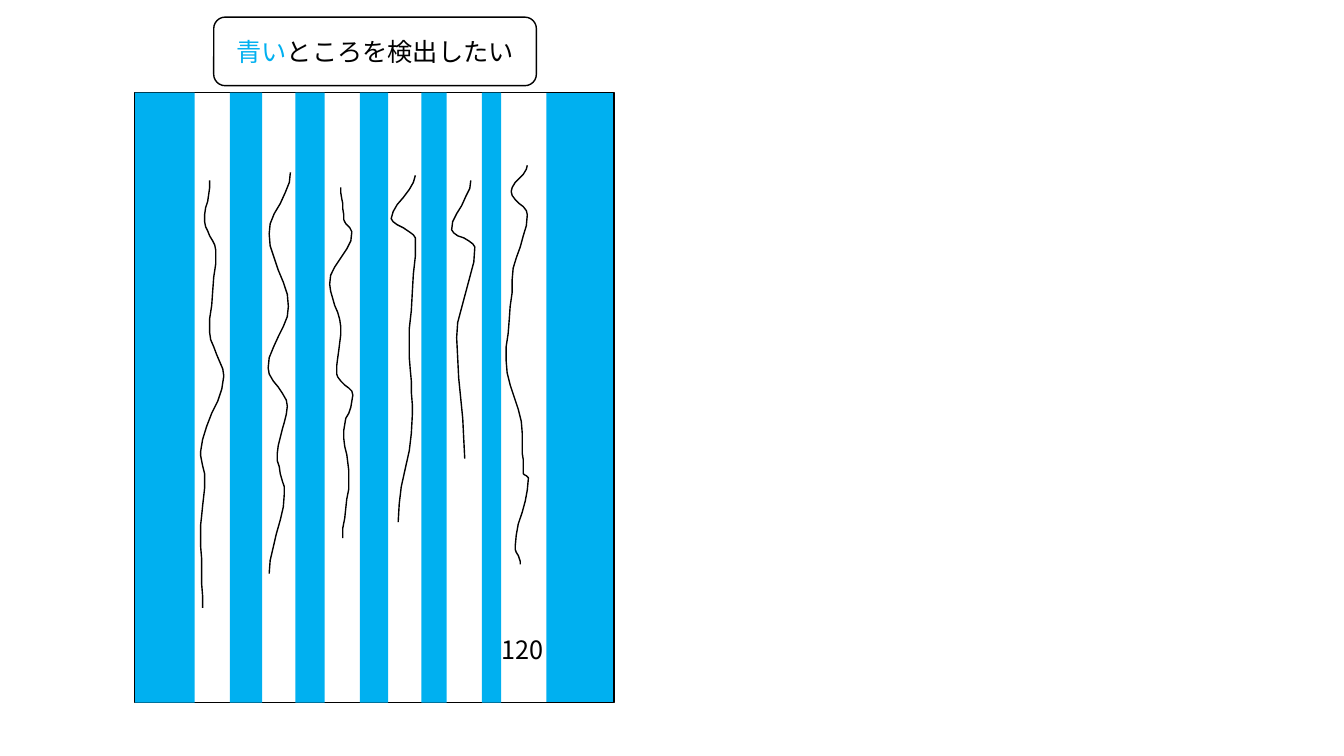
import math
import pptx
import pptx.util
import pptx.dml.color
import pptx.enum.shapes
import pptx.enum.text
import pptx.oxml.ns
import lxml.etree

COLS, ROWS = 1333, 750
CELL = pptx.util.Inches(0.01)
FONT = "Noto Sans CJK JP"
BLUE, BLACK, WHITE = "00B0F0", "000000", "FFFFFF"
TOP, HEIGHT = 92, 605
SHEET_LEFT, SHEET_WIDTH = 134, 475
RIGHT_STRIPE = (542, 66)
STRIPES = [(478, 19), (418, 25), (357, 28), (293, 29), (228, 32), (134, 59)]
STEPS = 6

CRACK_TURNS = [
    [(523, 164), (507, 190), (523, 213), (508, 277), (502, 358), (518, 430),
     (519, 469), (524, 475), (511, 542), (516, 560)],
    [(467, 179), (448, 228), (471, 245), (453, 335), (461, 455)],
    [(412, 174), (388, 217), (412, 236), (406, 344), (409, 412), (395, 518)],
    [(338, 186), (341, 218), (349, 230), (327, 282), (338, 324), (334, 371),
     (350, 392), (341, 427), (346, 475), (340, 534)],
    [(288, 171), (267, 232), (286, 304), (266, 365), (285, 403), (275, 450),
     (282, 490), (267, 569)],
    [(208, 179), (203, 220), (214, 248), (208, 330), (222, 373), (199, 448),
     (203, 475), (199, 530), (201, 603)],
]


def color(hex_string):
    return pptx.dml.color.RGBColor.from_string(hex_string)


def style(sp, fill=None, line=None):
    sp.shadow.inherit = False
    if fill:
        sp.fill.solid()
        sp.fill.fore_color.rgb = color(fill)
    else:
        sp.fill.background()
    if line:
        sp.line.color.rgb = color(line)
        sp.line.width = pptx.util.Pt(1)
    else:
        sp.line.fill.background()


def add_box(s, kind, cells, fill=None, line=None):
    sp = s.shapes.add_shape(kind, *(n * CELL for n in cells))
    style(sp, fill, line)
    return sp


def add_stripe(s, left, width, fill=BLUE, line=None):
    add_box(s, pptx.enum.shapes.MSO_SHAPE.RECTANGLE,
            (left, TOP, width, HEIGHT), fill, line)


def wave(turns):
    for (x, y), (next_x, next_y) in zip(turns, turns[1:]):
        for step in range(1, STEPS + 1):
            t = step / STEPS
            ease = (1 - math.cos(math.pi * t)) / 2
            yield x + (next_x - x) * ease, y + (next_y - y) * t


def add_crack(s, turns):
    builder = s.shapes.build_freeform(*turns[0], scale=CELL)
    builder.add_line_segments(list(wave(turns)), close=False)
    style(builder.convert_to_shape(), line=BLACK)


def add_run(p, text, hex_string):
    r = p.add_run()
    r.text = text
    r.font.size = pptx.util.Pt(18)
    r.font.color.rgb = color(hex_string)
    r.font.name = FONT
    ea = lxml.etree.SubElement(r.font._element, pptx.oxml.ns.qn("a:ea"))
    ea.set("typeface", FONT)


def add_number(s, text, cells):
    sp = s.shapes.add_textbox(*(n * CELL for n in cells))
    tf = sp.text_frame
    tf.word_wrap = False
    tf.auto_size = pptx.enum.text.MSO_AUTO_SIZE.SHAPE_TO_FIT_TEXT
    add_run(tf.paragraphs[0], text, BLACK)


def add_caption(s, cells, runs):
    sp = add_box(s, pptx.enum.shapes.MSO_SHAPE.ROUNDED_RECTANGLE,
                 cells, WHITE, BLACK)
    tf = sp.text_frame
    tf.word_wrap = True
    tf.vertical_anchor = pptx.enum.text.MSO_ANCHOR.MIDDLE
    p = tf.paragraphs[0]
    p.alignment = pptx.enum.text.PP_ALIGN.CENTER
    for text, hex_string in runs:
        add_run(p, text, hex_string)


def main():
    prs = pptx.Presentation()
    prs.slide_width = COLS * CELL
    prs.slide_height = ROWS * CELL
    s = prs.slides.add_slide(prs.slide_layouts.get_by_name("Blank"))
    for turns in CRACK_TURNS:
        add_crack(s, turns)
    add_number(s, "120", (488, 624, 62, 40))
    add_stripe(s, *RIGHT_STRIPE)
    add_stripe(s, SHEET_LEFT, SHEET_WIDTH, fill=None, line=BLACK)
    for left, width in STRIPES:
        add_stripe(s, left, width)
    add_caption(s, (212, 17, 320, 68),
                [("青い", BLUE), ("ところを検出したい", BLACK)])
    prs.save("out.pptx")


main()
